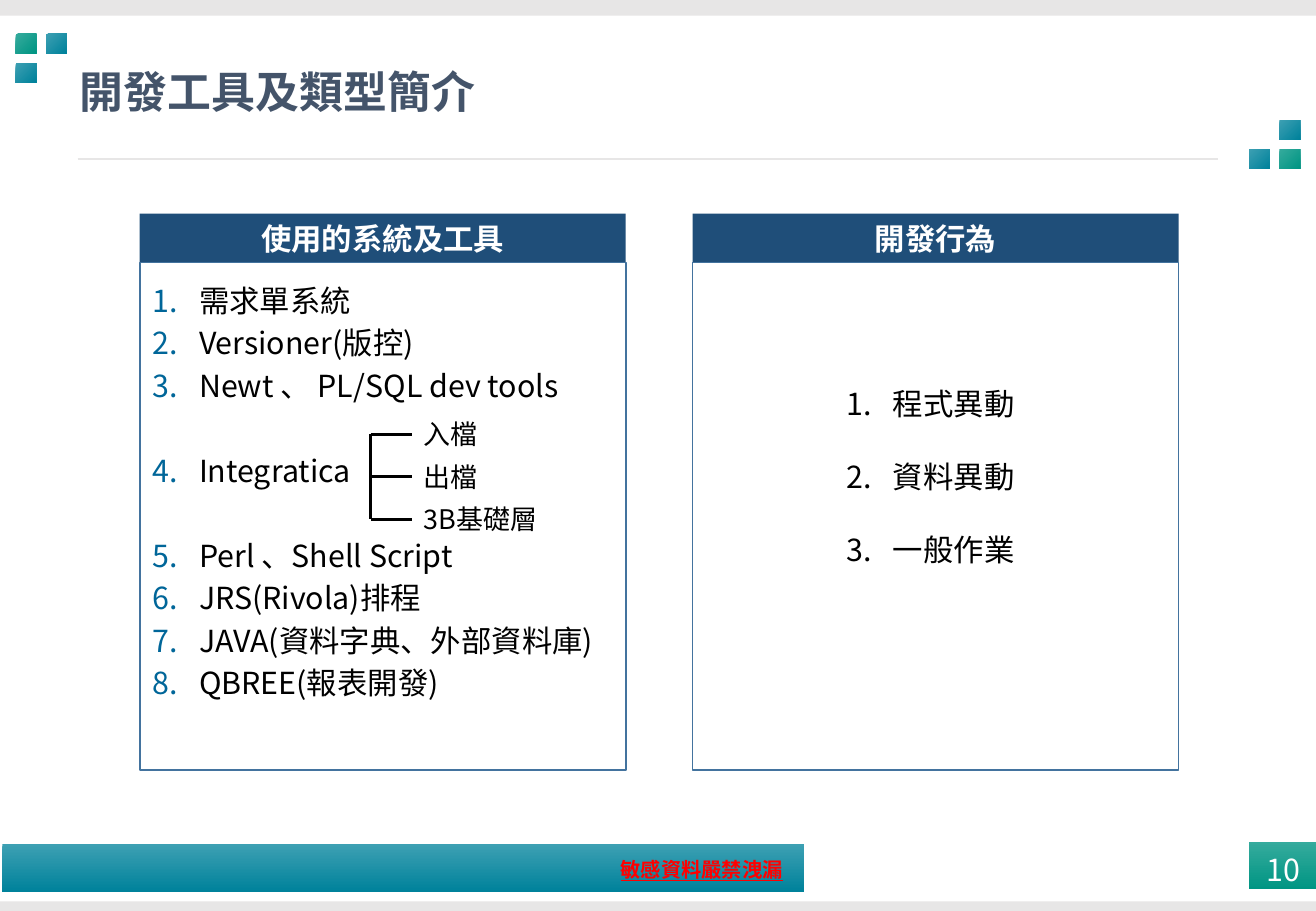
import collections
import dataclasses

import lxml.etree
import pptx
import pptx.dml.color
import pptx.enum.shapes
import pptx.enum.text
import pptx.oxml.ns
import pptx.util

Inches = pptx.util.Inches
Pt = pptx.util.Pt
Align = pptx.enum.text.PP_ALIGN
Anchor = pptx.enum.text.MSO_ANCHOR
Box = collections.namedtuple("Box", "left top width height")


@dataclasses.dataclass(frozen=True)
class Theme:
    font: str = "Noto Sans CJK SC"
    leading: float = 1.2
    title_size: int = 26
    body_size: int = 18
    label_size: int = 16
    notice_size: int = 12
    band: str = "E7E6E6"
    title: str = "44546A"
    header: str = "1F4E79"
    frame: str = "43739E"
    number: str = "006699"
    notice: str = "FF0000"
    ink: str = "000000"
    white: str = "FFFFFF"
    blue: tuple = ("3DA0B3", "00829B")
    green: tuple = ("35AB9D", "009583")


THEME = Theme()


def rgb(value):
    return pptx.dml.color.RGBColor.from_string(value)


def set_all(target, values):
    for name, value in values.items():
        setattr(target, name, value)


def add_rect(page, box, fill=None, line=None, angle=90):
    shape = page.shapes.add_shape(
        pptx.enum.shapes.MSO_SHAPE.RECTANGLE, *map(Inches, box))
    shape.shadow.inherit = False
    if isinstance(fill, tuple):
        shape.fill.gradient()
        shape.fill.gradient_angle = 360 - angle
        for stop, colour in zip(shape.fill.gradient_stops, fill):
            stop.color.rgb = rgb(colour)
    elif fill:
        shape.fill.solid()
        shape.fill.fore_color.rgb = rgb(fill)
    else:
        shape.fill.background()
    if line:
        shape.line.color.rgb = rgb(line)
        shape.line.width = Pt(1)
    else:
        shape.line.fill.background()
    return shape


def add_line(page, start, end, colour, width):
    line = page.shapes.add_connector(
        pptx.enum.shapes.MSO_CONNECTOR.STRAIGHT, *map(Inches, start + end))
    line.line.color.rgb = rgb(colour)
    line.line.width = Pt(width)
    lxml.etree.SubElement(line._element.spPr, pptx.oxml.ns.qn("a:effectLst"))
    return line


def write(shape, lines, size, colour, gaps=None, align=Align.LEFT,
          frame=None, **font):
    text = shape.text_frame
    set_all(text, {"word_wrap": True, "margin_top": Inches(0.05),
                   "margin_bottom": Inches(0.05), **(frame or {})})
    for index, line in enumerate(lines):
        para = text.add_paragraph() if index else text.paragraphs[0]
        set_all(para, {"alignment": align,
                       "line_spacing": Pt(size * THEME.leading),
                       "space_before": Pt(gaps[index] if gaps else 0)})
        span = para.add_run()
        span.text = line
        set_all(span.font, {"name": THEME.font, "size": Pt(size), **font})
        span.font.color.rgb = rgb(colour)
        east = lxml.etree.SubElement(
            span._r.get_or_add_rPr(), pptx.oxml.ns.qn("a:ea"))
        east.set("typeface", THEME.font)
    return shape


def add_text(page, box, lines, size, colour, **options):
    shape = page.shapes.add_textbox(*map(Inches, box))
    return write(shape, lines, size, colour, **options)


def number_lines(shape, colour):
    for para in shape.text_frame.paragraphs:
        props = para._p.get_or_add_pPr()
        props.set("marL", str(Inches(0.38)))
        props.set("indent", str(Inches(-0.38)))
        tint = lxml.etree.SubElement(props, pptx.oxml.ns.qn("a:buClr"))
        lxml.etree.SubElement(
            tint, pptx.oxml.ns.qn("a:srgbClr")).set("val", colour)
        lxml.etree.SubElement(
            props, pptx.oxml.ns.qn("a:buAutoNum")).set("type", "arabicPeriod")


def add_squares(page, box, cells):
    for column, row, fill in cells:
        add_rect(page, Box(box.left + column * 0.25, box.top + row * 0.24,
                           0.17, 0.16), fill, angle=45)


def add_title(page, box, title):
    add_squares(page, Box(0.13, box.top + 0.28, 0.42, 0.4), [
        (0, 0, THEME.green), (1, 0, THEME.blue), (0, 1, THEME.blue)])
    add_squares(page, Box(10.28, box.top + 0.99, 0.42, 0.4), [
        (1, 0, THEME.blue), (0, 1, THEME.blue), (1, 1, THEME.green)])
    rule = box.top + 1.31
    add_line(page, (0.64, rule), (10.02, rule), THEME.band, 0.75)
    add_text(page, Box(box.left + 0.56, box.top + 0.49, 9.63, 0.51), [title],
             THEME.title_size, THEME.title, bold=True,
             frame={"vertical_anchor": Anchor.MIDDLE})


def add_footer(page, box, notice, number):
    add_rect(page, Box(box.left + 0.02, box.top + 0.02, 6.6, 0.39), THEME.blue)
    add_text(page, Box(box.left + 5.01, box.top + 0.08, 1.95, 0.3), [notice],
             THEME.notice_size, THEME.notice, bold=True, underline=True)
    add_rect(page, Box(box.left + 10.28, box.top, 0.56, 0.39), THEME.green)
    add_text(page, Box(box.left + 10.42, box.top + 0.08, 0.29, 0.29),
             [number], THEME.body_size, THEME.white,
             frame={"word_wrap": False, "margin_left": 0, "margin_right": 0,
                    "margin_top": 0, "margin_bottom": 0})


def add_panel(page, box, heading):
    header = add_rect(page, Box(*box[:3], 0.4), THEME.header)
    write(header, [heading], THEME.body_size, THEME.white, align=Align.CENTER,
          bold=True, frame={"vertical_anchor": Anchor.MIDDLE})
    add_rect(page, Box(box.left, box.top + 0.4, box.width, box.height - 0.4),
             line=THEME.frame)


def add_branches(page, box, labels):
    spine, pitch, height = box.left, 0.35, 0.37
    middles = [box.top + height / 2 + row * pitch
               for row in range(len(labels))]
    add_line(page, (spine, middles[0]), (spine, middles[-1]), THEME.ink, 2)
    for middle, label in zip(middles, labels):
        left = spine + 0.34
        name = add_text(page, Box(left, middle - height / 2, box.width - 0.34,
                                  height),
                        [label], THEME.label_size, THEME.ink)
        tick = add_line(page, (spine, middle), (left, middle), THEME.ink, 2)
        tick.end_connect(name, 1)


def add_tools(page, box):
    add_panel(page, box, "使用的系統及工具")
    near, far = 3.6, 28.8
    tools = [("需求單系統", 0), ("Versioner(版控)", near),
             ("Newt 、 PL/SQL dev tools", near), ("Integratica", far),
             ("Perl 、Shell Script", far), ("JRS(Rivola)排程", near),
             ("JAVA(資料字典、外部資料庫)", near), ("QBREE(報表開發)", near)]
    lines, gaps = zip(*tools)
    body = add_text(page, Box(box.left + 0.01, box.top + 0.51, 3.98, 3.89),
                    lines, THEME.body_size, THEME.ink, gaps=gaps)
    number_lines(body, THEME.number)
    add_branches(page, Box(box.left + 1.9, box.top + 1.63, 2, 1.07),
                 ["入檔", "出檔", "3B基礎層"])


def add_actions(page, box):
    add_panel(page, box, "開發行為")
    body = add_text(page, Box(box.left + 1.17, box.top + 1.36, 1.66, 1.62),
                    ["程式異動", "資料異動", "一般作業"], THEME.body_size,
                    THEME.ink, gaps=[0, 21.6, 21.6])
    number_lines(body, THEME.ink)


def main():
    deck = pptx.Presentation()
    set_all(deck, {"slide_width": Inches(10.83), "slide_height": Inches(7.5)})
    page = deck.slides.add_slide(deck.slide_layouts[6])
    add_rect(page, Box(0, 0, 10.83, 0.13), THEME.band)
    add_rect(page, Box(0, 7.42, 10.83, 0.08), THEME.band)
    add_title(page, Box(0, 0, 10.83, 1.4), "開發工具及類型簡介")
    add_tools(page, Box(1.15, 1.76, 4, 4.58))
    add_actions(page, Box(5.7, 1.76, 4, 4.58))
    add_footer(page, Box(0, 6.93, 10.83, 0.41), "敏感資料嚴禁洩漏", "10")
    deck.save("out.pptx")


if __name__ == "__main__":
    main()
